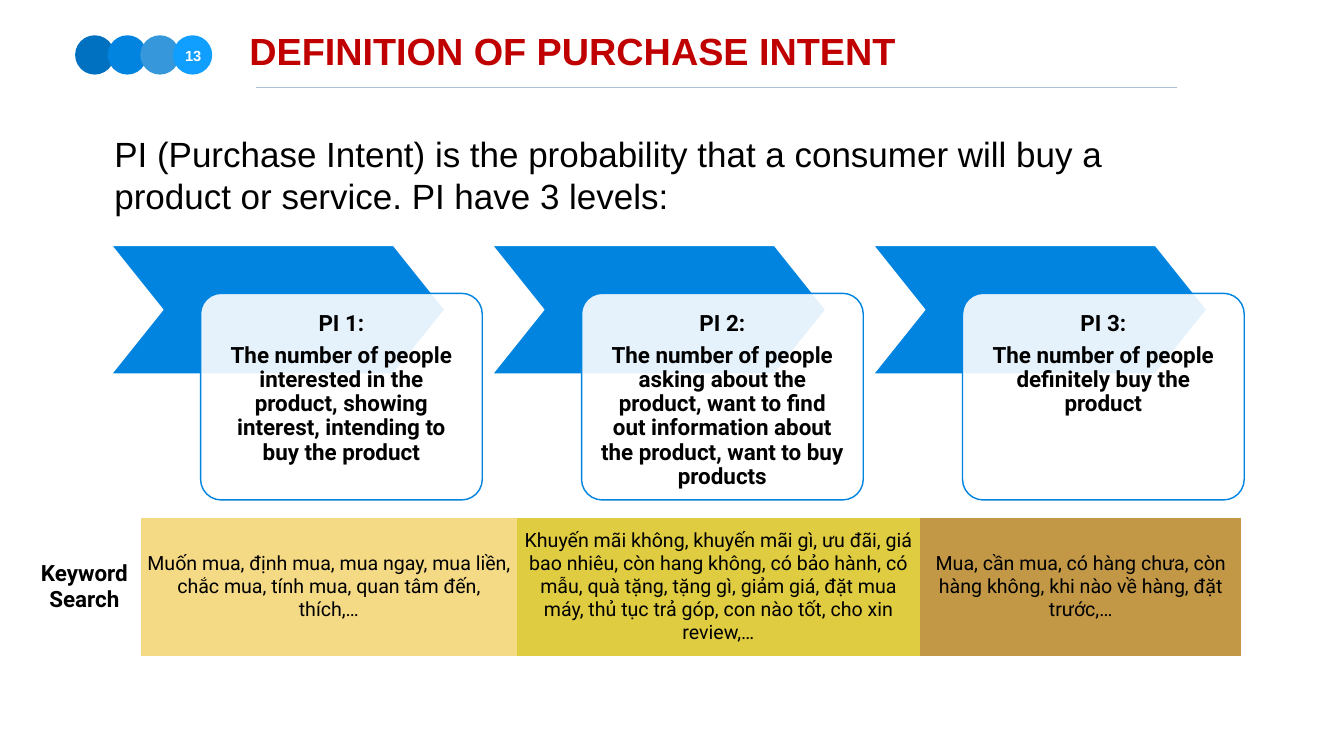
from lxml.etree import SubElement
from pptx import Presentation
from pptx.dml.color import RGBColor
from pptx.enum.shapes import MSO_CONNECTOR as Connector, MSO_SHAPE as Shape
from pptx.enum.text import MSO_ANCHOR as Anchor, PP_ALIGN as Align
from pptx.oxml.ns import qn
from pptx.util import Inches, Pt


def color(value):
    return RGBColor.from_string(value)


def write(para, text, size, font, shade="000000", bold=False, align=Align.LEFT):
    para.text = text
    para.alignment = align
    for span in para.runs:
        span.font.size = Pt(size)
        span.font.name = font
        span.font.bold = bold
        span.font.color.rgb = color(shade)


deck = Presentation()
deck.slide_width = Inches(26.67)
deck.slide_height = Inches(15)
page = deck.slides.add_slide(deck.slide_layouts[6])

circles = page.shapes.add_group_shape()
for index, shade in enumerate(["0070C0", "0084DF", "3698DA", "119FFF"]):
    circle = circles.shapes.add_shape(
        Shape.OVAL, Inches(1.49 + 0.647 * index), Inches(0.7), Inches(0.78), Inches(0.78))
    circle.shadow.inherit = False
    circle.fill.solid()
    circle.fill.fore_color.rgb = color(shade)
    circle.line.fill.background()

rule = page.shapes.add_connector(
    Connector.STRAIGHT, Inches(5.09), Inches(1.74), Inches(23.36), Inches(1.74))
rule.line.color.rgb = color("ACC0D4")
rule.line.width = Pt(2)
SubElement(rule.element.spPr, qn("a:effectLst"))

headings = [
    ((4.89, 0.5, 20.13, 1.24), "DEFINITION OF PURCHASE INTENT", 54, "C00000", True, Align.LEFT, Anchor.TOP),
    ((3.6, 0.86, 0.47, 0.47), "13", 21, "FFFFFF", True, Align.CENTER, Anchor.TOP),
    ((2.21, 2.56, 19.94, 1.8),
     "PI (Purchase Intent) is the probability that a consumer will buy a product or service. PI have 3 levels:",
     50, "000000", False, Align.LEFT, Anchor.MIDDLE),
]
for place, text, size, shade, bold, align, anchor in headings:
    box = page.shapes.add_textbox(*[Inches(length) for length in place])
    frame = box.text_frame
    frame.word_wrap = text != "13"
    frame.vertical_anchor = anchor
    frame.margin_left = frame.margin_right = Inches(0.06)
    frame.margin_top = frame.margin_bottom = Inches(0.06)
    write(frame.paragraphs[0], text, size, "Arial", shade, bold, align)

levels = [
    ("PI 1:", "The number of people interested in the product, showing interest, intending to buy the product"),
    ("PI 2:", "The number of people asking about the product, want to find out information about the product, "
              "want to buy products"),
    ("PI 3:", "The number of people definitely buy the product"),
]
for index, level in enumerate(levels):
    left = 2.21 + 7.56 * index
    group = page.shapes.add_group_shape()

    chevron = group.shapes.add_shape(
        Shape.CHEVRON, Inches(left), Inches(4.87), Inches(6.62), Inches(2.55))
    chevron.adjustments[0] = 0.4
    card = group.shapes.add_shape(
        Shape.ROUNDED_RECTANGLE, Inches(left + 1.77), Inches(5.82), Inches(5.59), Inches(4.1))
    card.adjustments[0] = 0.1
    for shape, fill, line in [(chevron, "0084DF", "FFFFFF"), (card, "FFFFFF", "0084DF")]:
        shape.shadow.inherit = False
        shape.fill.solid()
        shape.fill.fore_color.rgb = color(fill)
        shape.line.color.rgb = color(line)
        shape.line.width = Pt(2)
    card_color = card.element.spPr.find(qn("a:solidFill")).find(qn("a:srgbClr"))
    SubElement(card_color, qn("a:alpha"), val="90000")

    box = group.shapes.add_textbox(
        Inches(left + 1.89), Inches(5.94), Inches(5.35), Inches(3.86))
    frame = box.text_frame
    frame.word_wrap = True
    frame.margin_left = frame.margin_right = Inches(0.25)
    frame.margin_top = frame.margin_bottom = Inches(0.25)
    frame.text = "\n".join(level)
    for para, text in zip(frame.paragraphs, level):
        write(para, text, 32, "Roboto", bold=True, align=Align.CENTER)
        para.line_spacing = 0.9
        para.space_after = Pt(11)

keywords = [
    (2.25, "Keyword Search", None),
    (7.45, "Muốn mua, định mua, mua ngay, mua liền, chắc mua, tính mua, quan tâm đến, thích,…", "F5DA86"),
    (8.01, "Khuyến mãi không, khuyến mãi gì, ưu đãi, giá bao nhiêu, còn hang không, có bảo hành, có mẫu, "
           "quà tặng, tặng gì, giảm giá, đặt mua máy, thủ tục trả góp, con nào tốt, cho xin review,…", "DFCC41"),
    (6.37, "Mua, cần mua, có hàng chưa, còn hàng không, khi nào về hàng, đặt trước,…", "C29847"),
]
table = page.shapes.add_table(
    1, len(keywords), Inches(0.55), Inches(10.27), Inches(24.08), Inches(2.74)).table
table.first_row = False
table.horz_banding = False
NO_STYLE_NO_GRID = "{2D5ABB26-0587-4C30-8999-92F81FD0307C}"
table._tbl.tblPr.find(qn("a:tableStyleId")).text = NO_STYLE_NO_GRID
for index, (width, text, fill) in enumerate(keywords):
    table.columns[index].width = Inches(width)
    cell = table.cell(0, index)
    cell.vertical_anchor = Anchor.MIDDLE
    if fill:
        cell.fill.solid()
        cell.fill.fore_color.rgb = color(fill)
    else:
        cell.fill.background()
    write(cell.text_frame.paragraphs[0], text, 28 if fill else 32, "Roboto",
          bold=fill is None, align=Align.CENTER)

deck.save("out.pptx")
